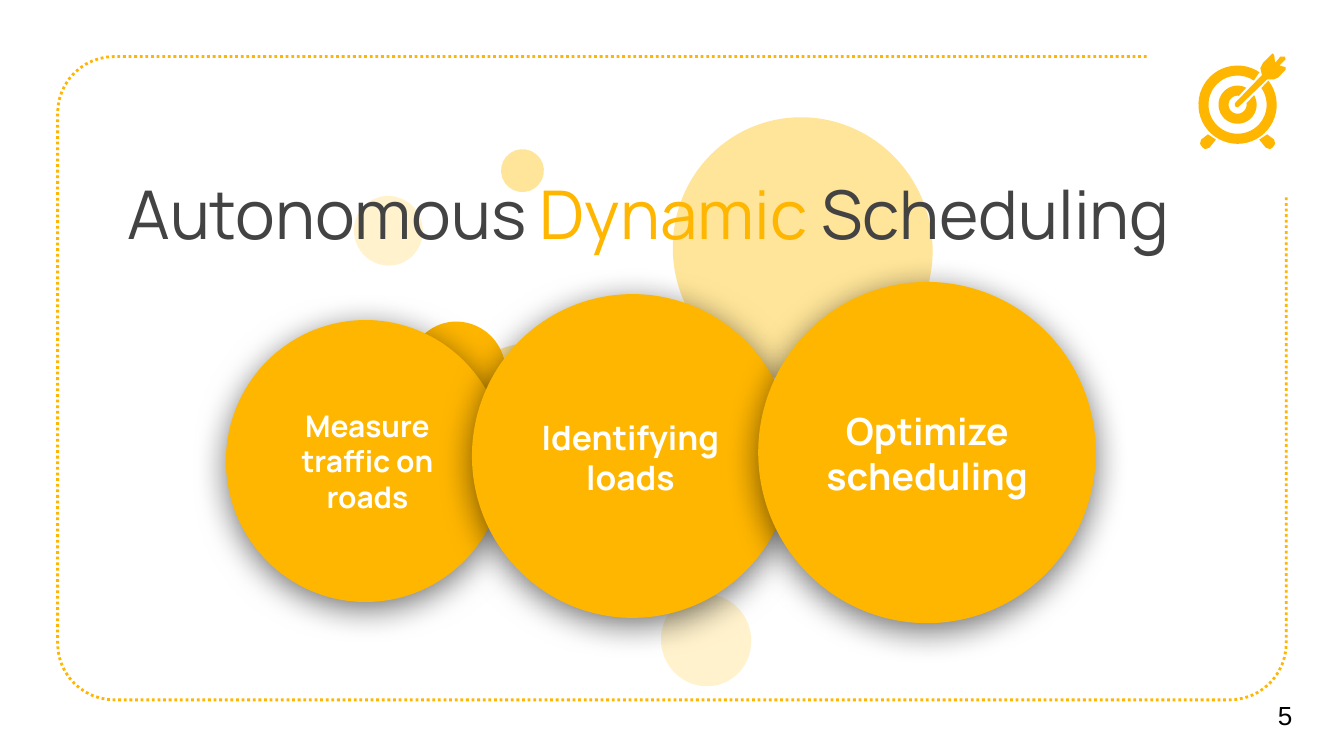
from math import cos, radians, sin

from lxml import etree
from pptx import Presentation
from pptx.dml.color import RGBColor
from pptx.enum.dml import MSO_LINE
from pptx.enum.shapes import MSO_SHAPE
from pptx.enum.text import MSO_ANCHOR, MSO_AUTO_SIZE, PP_ALIGN
from pptx.oxml import parse_xml
from pptx.oxml.ns import nsdecls, qn
from pptx.util import Cm, Pt

COLORS = {"amber": "FFB600", "light": "FFE599", "pale": "FFF2CC",
          "text": "434343", "white": "FFFFFF", "black": "000000"}
PALETTE = {name: RGBColor.from_string(value) for name, value in COLORS.items()}

presentation = Presentation()
presentation.slide_width, presentation.slide_height = Cm(25.4), Cm(14.29)
slide = presentation.slides.add_slide(presentation.slide_layouts[5])
shapes = slide.shapes


def arc(x, y, radius, start, end, steps=12):
    angles = [radians(start + (end - start) * i / steps) for i in range(steps + 1)]
    return [(x + radius * cos(a), y + radius * sin(a)) for a in angles]


def add_outline(points, close=True):
    corners = [(Cm(x), Cm(y)) for x, y in points]
    builder = shapes.build_freeform(*corners[0], scale=1.0)
    builder.add_line_segments(corners[1:], close=close)
    shape = builder.convert_to_shape()
    shape.shadow.inherit = False
    if close:
        shape.fill.solid()
        shape.fill.fore_color.rgb = PALETTE["amber"]
        shape.line.fill.background()
    return shape


left, top, right, bottom, radius = 1.09, 1.07, 24.31, 13.23, 1.07
frame = add_outline(
    [(21.67, top)]
    + arc(left + radius, top + radius, radius, 270, 180)
    + arc(left + radius, bottom - radius, radius, 180, 90)
    + arc(right - radius, bottom - radius, radius, 90, 0)
    + [(right, 3.71)], close=False)
frame.fill.background()
frame.line.color.rgb = PALETTE["amber"]
frame.line.width = Pt(1.5)
frame.line.dash_style = MSO_LINE.ROUND_DOT

target_x, target_y = 23.39, 1.98
rings = [(0.74, -38, 304, 0.55, -35, 304), (0.36, -30, 297, 0.17, -9, 279)]
for outer, outer_start, outer_end, inner, inner_start, inner_end in rings:
    add_outline(arc(target_x, target_y, outer, outer_start, outer_end, 48)
                + arc(target_x, target_y, inner, inner_end, inner_start, 48))

foot = [(-0.56, 0.56), (-0.69, 0.66), (-0.71, 0.74), (-0.66, 0.81),
        (-0.61, 0.84), (-0.53, 0.81), (-0.41, 0.66)]
arrow = [(0.66, -0.97), (0.48, -0.79), (0.43, -0.69), (0.46, -0.56), (-0.05, -0.03),
         (-0.05, 0.03), (0, 0.05), (0.03, 0.03), (0.56, -0.48), (0.69, -0.48),
         (0.76, -0.51), (0.91, -0.66), (0.91, -0.71), (0.79, -0.74), (0.91, -0.86),
         (0.89, -0.91), (0.81, -0.91), (0.71, -0.79), (0.69, -0.94)]
for part in (foot, [(-x, y) for x, y in foot], arrow):
    add_outline([(target_x + x, target_y + y) for x, y in part])

bubbles = [
    (12.47, 11.25, 1.75, 1.7, "pale"),
    (6.68, 3.71, 1.32, 1.3, "pale"),
    (8.33, 6.5, 3.56, 3.51, "light"),
    (12.67, 2.26, 5, 4.9, "light"),
    (7.7, 6.1, 1.88, 1.83, "amber"),
    (9.47, 2.82, 0.81, 0.81, "light"),
]
steps = [
    (4.27, 6.05, 5.28, 5.33, "amber", "Measure traffic on roads", 16, (4.85, 7.04, 4.19, 3.35)),
    (8.92, 5.56, 6.07, 6.12, "amber", "Identifying loads", 18, (9.68, 6.91, 4.47, 3.45)),
    (14.33, 5.33, 6.38, 6.45, "amber", "Optimize scheduling", 20, (15.24, 6.53, 4.57, 4.06)),
]
labels = []
for x, y, width, height, color, *label in bubbles + steps:
    circle = shapes.add_shape(MSO_SHAPE.OVAL, Cm(x), Cm(y), Cm(width), Cm(height))
    circle.shadow.inherit = False
    circle.fill.solid()
    circle.fill.fore_color.rgb = PALETTE[color]
    circle.line.fill.background()
    if not label:
        circle.rotation = 250
        continue
    effects = circle.element.spPr.find(qn("a:effectLst"))
    effects.append(parse_xml(
        f'<a:outerShdw {nsdecls("a")} blurRad="{Pt(18)}" dist="{Pt(4)}" dir="5400000" '
        f'algn="bl" rotWithShape="0"><a:srgbClr val="{COLORS["black"]}">'
        '<a:alpha val="55000"/></a:srgbClr></a:outerShdw>'))
    labels.append((*label, "Manrope", "white", PP_ALIGN.CENTER))

labels.append(("5", 14, (23.9, 12.75, 1.5, 1.52), "Arial", "black", PP_ALIGN.LEFT))
for text, size, box, font_name, color, alignment in labels:
    frame = shapes.add_textbox(*map(Cm, box)).text_frame
    frame.word_wrap = True
    frame.vertical_anchor = MSO_ANCHOR.MIDDLE
    frame.margin_left = frame.margin_right = Cm(0.25)
    frame.margin_top = frame.margin_bottom = Cm(0.25)
    paragraph = frame.paragraphs[0]
    paragraph.add_run().text = text
    paragraph.alignment = alignment
    paragraph.font.name = font_name
    paragraph.font.size = Pt(size)
    paragraph.font.bold = font_name == "Manrope"
    paragraph.font.color.rgb = PALETTE[color]

title = shapes.title
title.left, title.top, title.width, title.height = Cm(2.16), Cm(3), Cm(23.04), Cm(2.39)
frame = title.text_frame
frame.word_wrap = True
frame.auto_size = MSO_AUTO_SIZE.NONE
frame.vertical_anchor = MSO_ANCHOR.TOP
frame.margin_left = frame.margin_right = Cm(0.25)
frame.margin_top = frame.margin_bottom = Cm(0.25)
paragraph = frame.paragraphs[0]
paragraph.alignment = PP_ALIGN.LEFT
paragraph.font.name = "Manrope"
paragraph.font.size = Pt(36)
for text, color in [("Autonomous ", "text"), ("Dynamic", "amber"), (" Scheduling", "text")]:
    run = paragraph.add_run()
    run.text = text
    run.font.color.rgb = PALETTE[color]
title.element.getparent().append(title.element)

presentation.save("out.pptx")
